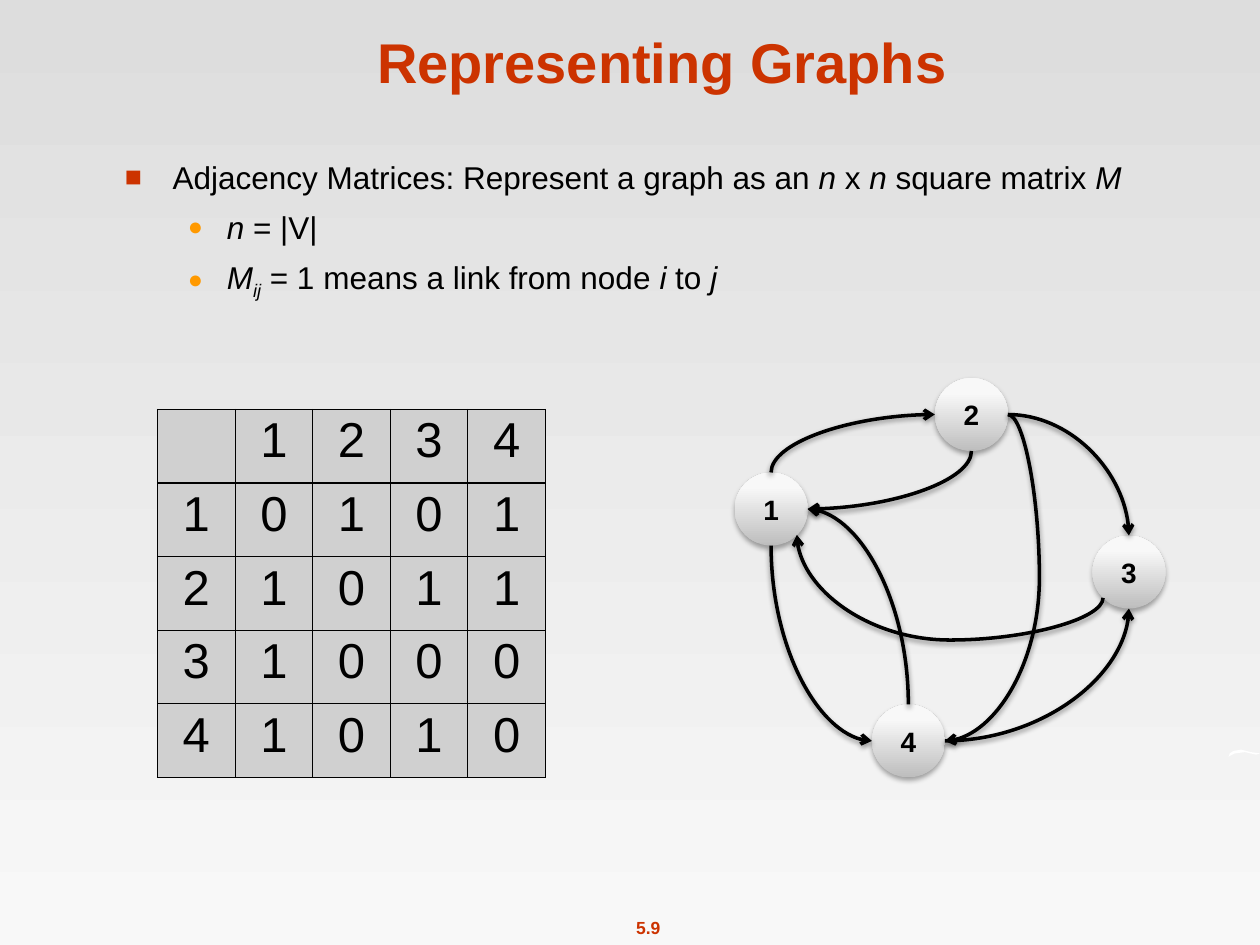
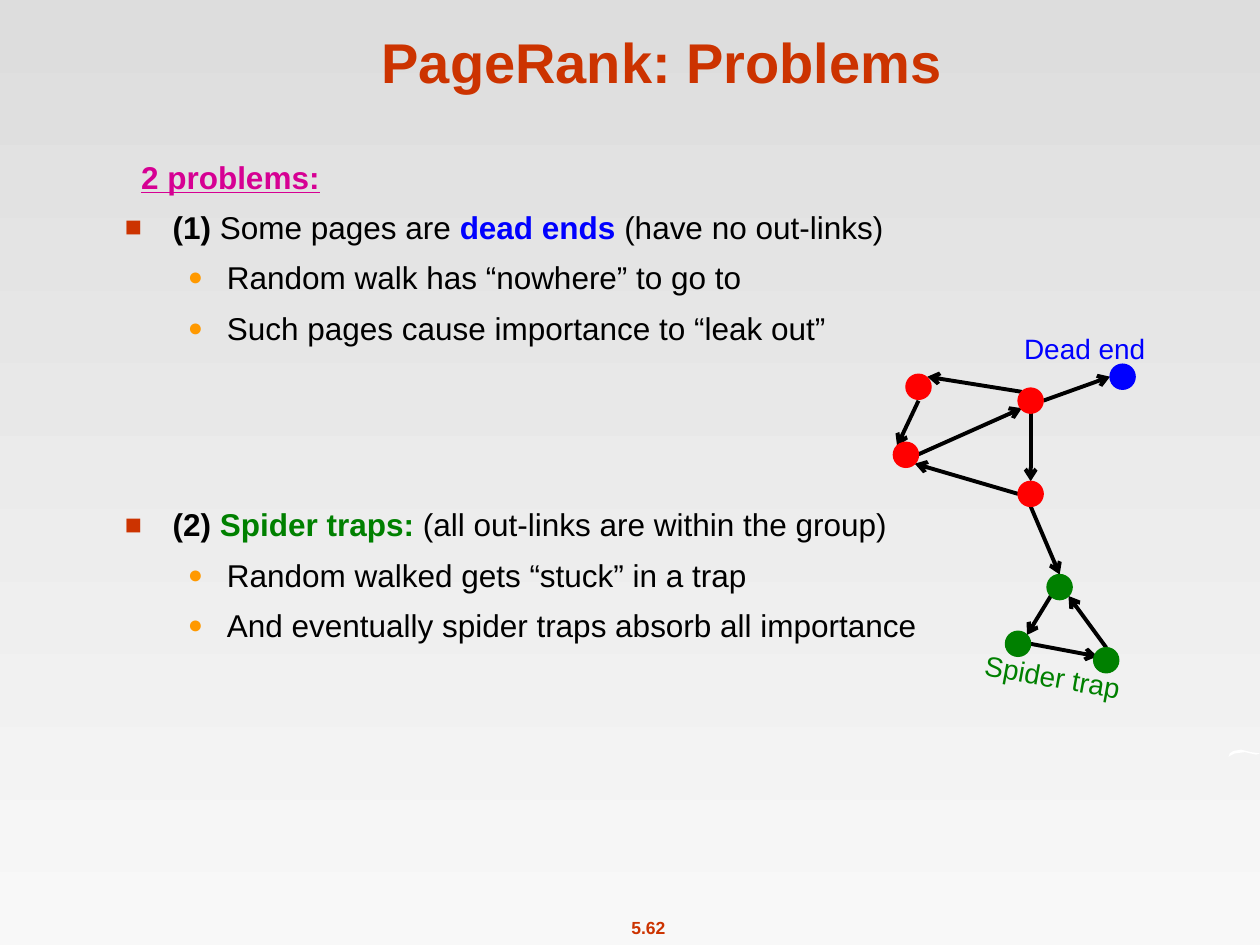
"""Build two lecture slides on graphs and PageRank."""
import math

import lxml.etree
import pptx
import pptx.dml.color
import pptx.enum.shapes
import pptx.enum.text
import pptx.oxml.ns
import pptx.util

Inches = pptx.util.Inches
Pt = pptx.util.Pt
CENTER = pptx.enum.text.PP_ALIGN.CENTER
MIDDLE = pptx.enum.text.MSO_ANCHOR.MIDDLE
BOTTOM = pptx.enum.text.MSO_ANCHOR.BOTTOM
OVAL = pptx.enum.shapes.MSO_SHAPE.OVAL
CONNECTOR = pptx.enum.shapes.MSO_CONNECTOR

BRICK, ORANGE, MAGENTA = "CC3300", "FF9900", "D60093"
BLACK, WHITE, CELL_GREY = "000000", "FFFFFF", "D0D0D0"
RED, BLUE, GREEN = "FF0000", "0000FF", "008000"

TITLE = {"size": Pt(32), "bold": True, "color": BRICK}
FOOTER = {"size": Pt(10), "bold": True, "color": BRICK}
BODY = {"size": Pt(18), "color": BLACK}
NODE = {"size": Pt(16), "bold": True, "color": BLACK}
MATRIX = {"size": Pt(28), "color": BLACK}
ITALIC = {"italic": True}
BOLD = {"bold": True}

LEVELS = {
    "heading": (0, 0.13, 0, None, None, None),
    "point": (0, 0.38, -0.38, "■", BRICK, 90),
    "detail": (1, 0.81, -0.31, "●", ORANGE, 80),
}
SWOOSH = [(9.75, 6.01), (9.76, 5.98), (9.79, 5.96), (9.85, 5.95), (9.93, 5.97),
          (10, 5.98), (9.97, 5.99), (9.88, 5.97), (9.8, 5.98), (9.76, 6)]

TOP, LEFT, LOWER_LEFT, FOOT, LOWER_RIGHT, RIGHT = 0, 2, 3, 4, 5, 6
RADIUS = 0.29
NODES = {"1": (6.12, 4.04), "2": (7.71, 3.29), "3": (8.96, 4.54), "4": (7.21, 5.88)}
LINKS = [
    ("1", TOP, "2", LEFT, None), ("1", FOOT, "4", LEFT, None),
    ("2", FOOT, "1", RIGHT, None), ("2", RIGHT, "3", TOP, None),
    ("2", RIGHT, "4", RIGHT, -0.5), ("3", LOWER_LEFT, "1", LOWER_RIGHT, -0.67),
    ("4", TOP, "1", RIGHT, None), ("4", RIGHT, "3", FOOT, None),
]
ADJACENCY = ["0101", "1011", "1000", "1010"]

WEB_LINKS = [
    (7.29, 3.18, 7.12, 3.54), (7.28, 3.61, 8.11, 3.24), (8.18, 3.28, 8.18, 3.82),
    (8.08, 3.92, 7.26, 3.68), (8.28, 3.18, 8.81, 2.99), (8.18, 4.02, 8.41, 4.56),
    (8.11, 3.11, 7.36, 2.99), (8.18, 5.11, 8.71, 5.21), (8.34, 4.73, 8.15, 5.04),
    (8.78, 5.14, 8.48, 4.73),
]
WEB_PAGES = {
    RED: [(7.19, 3.61), (7.29, 3.07), (8.18, 3.18), (8.18, 3.92)],
    BLUE: [(8.91, 2.99)],
    GREEN: [(8.41, 4.66), (8.08, 5.11), (8.78, 5.24)],
}

GRAPH_POINTS = [
    ("point", 0, [("Adjacency Matrices: Represent a graph as an ", {}), ("n", ITALIC), (" x ", {}),
                  ("n", ITALIC), (" square matrix ", {}), ("M", ITALIC)]),
    ("detail", 7.2, [("n", ITALIC), (" = |V|", {})]),
    ("detail", 7.2, [("M", ITALIC), ("ij", ITALIC | {"baseline": -25000}),
                     (" = 1 means a link from node ", {}), ("i", ITALIC), (" to ", {}),
                     ("j", ITALIC)]),
]
PROBLEM_POINTS = [
    ("heading", 0, [("2 problems:", {"bold": True, "underline": True, "color": MAGENTA})]),
    ("point", 7.2, [("(1)", BOLD), (" Some pages are ", {}),
                    ("dead ends", BOLD | {"color": BLUE}), (" (have no out-links)", {})]),
    ("detail", 7.2, [("Random walk has “nowhere” to go to", {})]),
    ("detail", 7.2, [("Such pages cause importance to “leak out”", {})]),
    ("point", 90.8, [("(2) ", BOLD), ("Spider traps: ", BOLD | {"color": GREEN}),
                     ("(all out-links are within the group)", {})]),
    ("detail", 7.2, [("Random walked gets “stuck” in a trap", {})]),
    ("detail", 7.2, [("And eventually spider traps absorb all importance", {})]),
]


def color(value):
    """Turn a hex string into a colour."""
    return pptx.dml.color.RGBColor.from_string(value)


def add_xml(parent, tag, **values):
    """Append a drawing element with the given attributes."""
    child = lxml.etree.SubElement(parent, pptx.oxml.ns.qn(tag))
    for name, value in values.items():
        child.set(name, str(value))
    return child


def place(shape, left, top, width, height):
    """Set a shape's position and size in inches."""
    for name, value in zip(("left", "top", "width", "height"), (left, top, width, height)):
        setattr(shape, name, Inches(value))


def write(para, text, values):
    """Add a formatted span to a paragraph."""
    span = para.add_run()
    span.text = text
    for name, value in ({"name": "Arial"} | values).items():
        if name == "color":
            span.font.color.rgb = color(value)
        elif name == "baseline":
            span._r.get_or_add_rPr().set(name, str(value))
        else:
            setattr(span.font, name, value)


def paint_gradient(fill, angle, stops):
    """Fill with a two-stop linear gradient."""
    fill.gradient()
    fill.gradient_angle = angle
    for stop, (position, value) in zip(fill.gradient_stops, stops):
        stop.position = position
        stop.color.rgb = color(value)


def add_shadow(shape, alpha, distance):
    """Give a shape a soft shadow below it."""
    effects = add_xml(shape._element.spPr, "a:effectLst")
    shadow = add_xml(effects, "a:outerShdw", blurRad=Pt(3.1), dist=Pt(distance),
                     dir=5400000, rotWithShape=0)
    add_xml(add_xml(shadow, "a:srgbClr", val=BLACK), "a:alpha", val=alpha * 1000)


def add_label(page, bounds, text, values, align=None, rotation=0):
    """Add a one-line text box."""
    box = page.shapes.add_textbox(0, 0, 0, 0)
    place(box, *bounds)
    box.rotation = rotation
    box.text_frame.word_wrap = False
    para = box.text_frame.paragraphs[0]
    para.alignment = align
    write(para, text, values)


def add_bullet(para, kind, space, spans):
    """Fill a paragraph of the list with its bullet and spans."""
    level, margin, indent, mark, mark_color, mark_size = LEVELS[kind]
    para.level = level
    para.space_before = Pt(space)
    props = para._p.get_or_add_pPr()
    props.set("marL", str(Inches(margin)))
    props.set("indent", str(Inches(indent)))
    if mark:
        add_xml(add_xml(props, "a:buClr"), "a:srgbClr", val=mark_color)
        add_xml(props, "a:buSzPct", val=mark_size * 1000)
        add_xml(props, "a:buFont", typeface="Arial")
        add_xml(props, "a:buChar", char=mark)
    else:
        add_xml(props, "a:buNone")
    for text, values in spans:
        write(para, text, BODY | values)


def add_page(deck, title, number, points):
    """Add a slide with title, list, number and edge mark."""
    page = deck.slides.add_slide(deck.slide_layouts[1])
    builder = page.shapes.build_freeform(*map(Inches, SWOOSH[0]))
    builder.add_line_segments([tuple(map(Inches, point)) for point in SWOOSH[1:]])
    swoosh = builder.convert_to_shape()
    swoosh.shadow.inherit = False
    swoosh.fill.solid()
    swoosh.fill.fore_color.rgb = color(WHITE)
    swoosh.line.fill.background()
    add_label(page, (4.9, 7.23, 0.49, 0.27), number, FOOTER, CENTER)

    heading, body = page.placeholders
    place(heading, 0.84, 0.13, 8.83, 0.67)
    place(body, 0.89, 1.2, 8.38, 5.36)
    for box in (heading, body):
        box.text_frame.auto_size = pptx.enum.text.MSO_AUTO_SIZE.NONE
    heading.text_frame.vertical_anchor = BOTTOM
    para = heading.text_frame.paragraphs[0]
    para.alignment = CENTER
    write(para, title, TITLE)
    for index, point in enumerate(points):
        frame = body.text_frame
        add_bullet(frame.add_paragraph() if index else frame.paragraphs[0], *point)
    return page


def add_matrix(page, rows):
    """Add the adjacency matrix with numbered rows and columns."""
    size = len(rows) + 1
    frame = page.shapes.add_table(size, size, Inches(1.25), Inches(3.25), Inches(3.08), Inches(2.92))
    table = frame.table
    table.first_row = table.horz_banding = False
    grid = [" 1234"] + [f"{number}{row}" for number, row in enumerate(rows, 1)]
    for cell, text in zip(table.iter_cells(), "".join(grid)):
        props = cell._tc.get_or_add_tcPr()
        for side in "LRTB":
            border = add_xml(props, f"a:ln{side}", w=Pt(0.75))
            add_xml(add_xml(border, "a:solidFill"), "a:srgbClr", val=BLACK)
        cell.fill.solid()
        cell.fill.fore_color.rgb = color(CELL_GREY)
        cell.vertical_anchor = MIDDLE
        if text.strip():
            para = cell.text_frame.paragraphs[0]
            for name, value in {"alignment": CENTER, "line_spacing": 0.71, "space_before": Pt(8)}.items():
                setattr(para, name, value)
            write(para, text, MATRIX)


def add_circle(page, center, radius):
    """Add a circle around a centre."""
    circle = page.shapes.add_shape(OVAL, 0, 0, 0, 0)
    place(circle, center[0] - radius, center[1] - radius, 2 * radius, 2 * radius)
    circle.shadow.inherit = False
    return circle


def add_node(page, name, center):
    """Add a numbered, shaded graph node."""
    node = add_circle(page, center, RADIUS)
    paint_gradient(node.fill, 90, [(0, "BEBEBE"), (0.8, "F8F8F8")])
    node.line.fill.background()
    node._element.spPr.remove(node._element.spPr.find(pptx.oxml.ns.qn("a:effectLst")))
    add_shadow(node, 35, 1.8)
    node.text_frame.vertical_anchor = MIDDLE
    para = node.text_frame.paragraphs[0]
    para.alignment = CENTER
    write(para, name, NODE)
    return node


def style_arrow(arrow, width):
    """Make a connector black with an arrowhead at its end."""
    arrow.line.width = Pt(width)
    arrow.line.color.rgb = color(BLACK)
    add_xml(arrow.line._get_or_add_ln(), "a:tailEnd", type="arrow")


def find_site(center, site):
    """Locate one of the eight connection sites of a node."""
    angle = math.radians(90 + 45 * site)
    return center[0] + RADIUS * math.cos(angle), center[1] - RADIUS * math.sin(angle)


def add_curve(page, nodes, source, leave, target, enter, bend):
    """Join two nodes by a curved arrow."""
    x1, y1 = find_site(NODES[source], leave)
    x2, y2 = find_site(NODES[target], enter)
    across, down = x2 - x1, y2 - y1
    arrow = page.shapes.add_connector(CONNECTOR.CURVE, 0, 0, 0, 0)
    if leave in (LEFT, RIGHT):
        turn, width, height, flips = 0, abs(across), abs(down), (across < 0, down < 0)
    else:
        turn, width, height, flips = 90, abs(down), abs(across), (down < 0, across > 0)
    place(arrow, (x1 + x2 - width) / 2, (y1 + y2 - height) / 2, width, height)
    frame = arrow._element.spPr.xfrm
    frame.set("rot", str(turn * 60000))
    for name, flipped in zip(("flipH", "flipV"), flips):
        frame.set(name, str(int(flipped)))
    shape = arrow._element.spPr.find(pptx.oxml.ns.qn("a:prstGeom"))
    if bend is None:
        shape.set("prst", "curvedConnector2")
    else:
        guides = shape.find(pptx.oxml.ns.qn("a:avLst"))
        add_xml(guides, "a:gd", name="adj1", fmla=f"val {round(bend * 100000)}")
    ends = arrow._element.nvCxnSpPr.cNvCxnSpPr
    add_xml(ends, "a:stCxn", id=nodes[source].shape_id, idx=leave)
    add_xml(ends, "a:endCxn", id=nodes[target].shape_id, idx=enter)
    style_arrow(arrow, 2)
    add_shadow(arrow, 38, 1.6)


def add_web(page):
    """Draw the small web of pages and links."""
    for link in WEB_LINKS:
        arrow = page.shapes.add_connector(CONNECTOR.STRAIGHT, *map(Inches, link))
        style_arrow(arrow, 2.25)
        add_xml(arrow._element.spPr, "a:effectLst")
    for shade, centers in WEB_PAGES.items():
        for center in centers:
            dot = add_circle(page, center, 0.1)
            dot.fill.solid()
            dot.fill.fore_color.rgb = dot.line.color.rgb = color(shade)
            dot.line.width = Pt(0.75)
    add_label(page, (8.03, 2.58, 1.3, 0.4), "Dead end", {"size": Pt(16), "color": BLUE})
    add_label(page, (7.71, 5.2, 1.44, 0.4), "Spider trap", {"size": Pt(16), "color": GREEN}, rotation=10.4)


def main():
    """Build and save the deck."""
    deck = pptx.Presentation()
    deck.slide_width, deck.slide_height = Inches(10), Inches(7.5)
    paint_gradient(deck.slide_master.background.fill, 270, [(0, "DDDDDD"), (1, "F8F8F8")])

    graphs = add_page(deck, "Representing Graphs", "5.9", GRAPH_POINTS)
    add_matrix(graphs, ADJACENCY)
    nodes = {name: add_node(graphs, name, center) for name, center in NODES.items()}
    for link in LINKS:
        add_curve(graphs, nodes, *link)

    add_web(add_page(deck, "PageRank: Problems", "5.62", PROBLEM_POINTS))
    deck.save("out.pptx")


if __name__ == "__main__":
    main()
